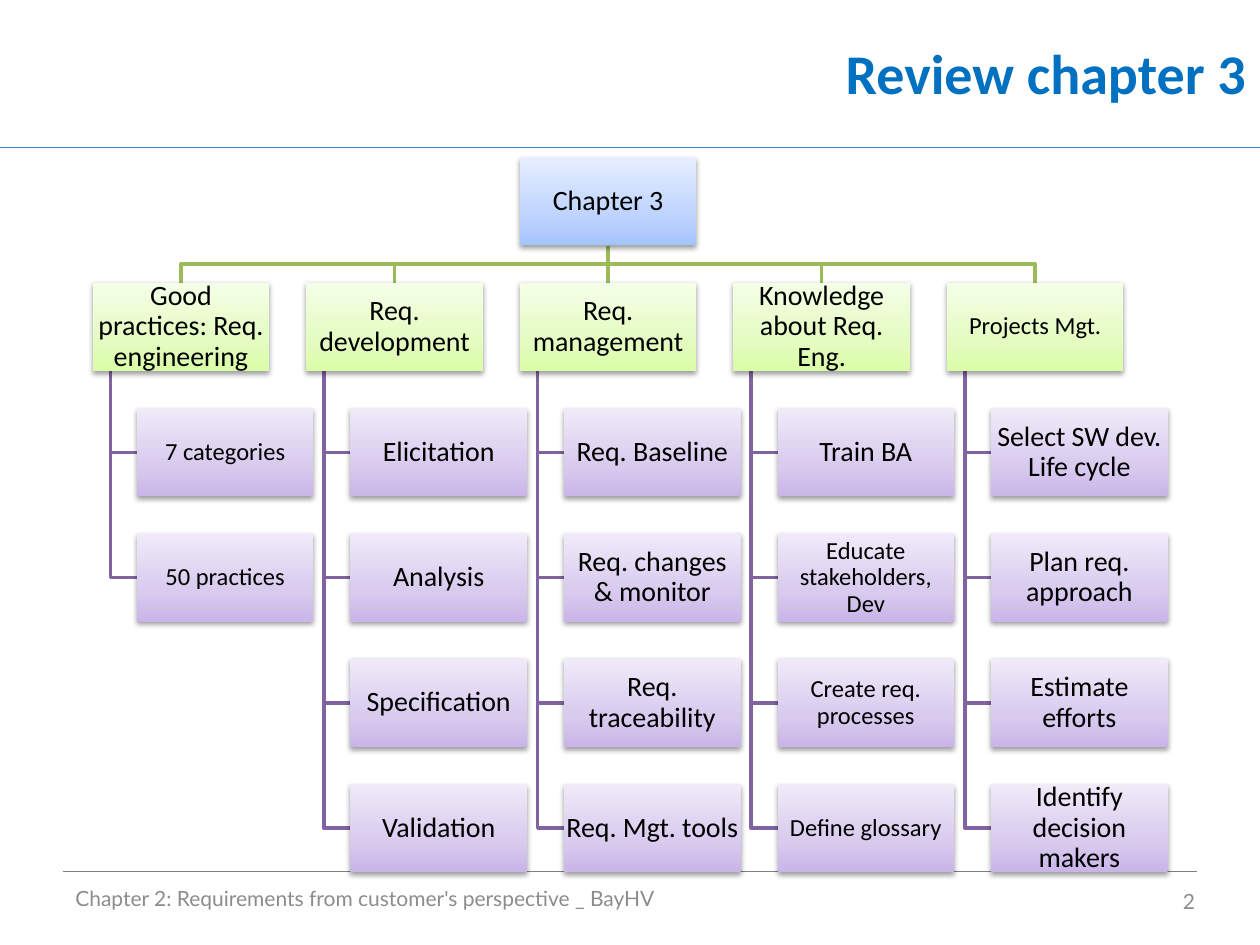
from lxml import etree
from pptx import Presentation
from pptx.dml.color import RGBColor
from pptx.enum import shapes, text
from pptx.oxml import ns, parse_xml
from pptx.util import Cm, Pt

TITLE = "Review chapter 3"
FOOTER = "Chapter 2: Requirements from customer's perspective _ BayHV"
PAGE = "2"
ROOT = "Chapter 3"
BRANCHES = [
    (("Good practices: Req. engineering", 16),
     [("7 categories", 14), ("50 practices", 14)]),
    (("Req. development", 16),
     [("Elicitation", 16), ("Analysis", 16), ("Specification", 16), ("Validation", 16)]),
    (("Req. management", 16),
     [("Req. Baseline", 16), ("Req. changes & monitor", 16),
      ("Req. traceability", 16), ("Req. Mgt. tools", 16)]),
    (("Knowledge about Req. Eng.", 16),
     [("Train BA", 16), ("Educate stakeholders, Dev", 14),
      ("Create req. processes", 14), ("Define glossary", 14)]),
    (("Projects Mgt.", 14),
     [("Select SW dev. Life cycle", 16), ("Plan req. approach", 16),
      ("Estimate efforts", 16), ("Identify decision makers", 16)]),
]

BLUE = ("A4C4FF", "BFD4FF", "E6EEFF")
GREEN = ("DAFDA7", "E4FCC2", "F5FFE7")
PURPLE = ("C9B5E8", "D8CBEE", "F0EAF9")
GREEN_LINE, PURPLE_LINE = "9BBB59", "8064A2"

BOX_W, BOX_H = 3.56, 1.78
LEFT, COLUMN_STEP = 1.87, 4.305
ROOT_TOP, BRANCH_TOP = 3.17, 5.7
LEAF_TOP, LEAF_STEP = 8.23, 2.525
LEAF_INDENT, TRUNK_INDENT = 0.89, 0.36

prs = Presentation()
prs.slide_width, prs.slide_height = Cm(25.4), Cm(19.05)
slide = prs.slides.add_slide(prs.slide_layouts[6])


def color(value):
    return RGBColor.from_string(value)


def write(frame, content, size=16, font="Calibri", fill="000000", bold=False,
          align=text.PP_ALIGN.CENTER, spacing=None, inset=None):
    frame.word_wrap = True
    frame.vertical_anchor = text.MSO_ANCHOR.MIDDLE
    if inset is not None:
        frame.margin_left = frame.margin_right = Cm(inset)
        frame.margin_top = frame.margin_bottom = Cm(inset)
    paragraph = frame.paragraphs[0]
    paragraph.alignment = align
    if spacing:
        paragraph.line_spacing = spacing
    run = paragraph.add_run()
    run.text = content
    run.font.size, run.font.name, run.font.bold = Pt(size), font, bold
    run.font.color.rgb = color(fill)


def label(content, left, top, width, height, **style):
    area = slide.shapes.add_textbox(Cm(left), Cm(top), Cm(width), Cm(height))
    write(area.text_frame, content, **style)


def rule(start, end, stroke, width):
    line = slide.shapes.add_connector(
        shapes.MSO_CONNECTOR.STRAIGHT, *[Cm(value) for value in start + end])
    line.line.color.rgb = color(stroke)
    line.line.width = Pt(width)
    etree.SubElement(line._element.spPr, ns.qn("a:effectLst"))


def elbow(points, stroke):
    corners = [(Cm(x), Cm(y)) for x, y in points]
    builder = slide.shapes.build_freeform(*corners[0])
    builder.add_line_segments(corners[1:], close=False)
    branch_line = builder.convert_to_shape()
    branch_line.fill.background()
    branch_line.shadow.inherit = False
    branch_line.line.color.rgb = color(stroke)
    branch_line.line.width = Pt(2)


def box(content, left, top, shades, size=16):
    node = slide.shapes.add_shape(
        shapes.MSO_SHAPE.RECTANGLE, Cm(left), Cm(top), Cm(BOX_W), Cm(BOX_H))
    node.line.fill.background()
    node.shadow.inherit = False
    stops = "".join(
        f'<a:gs pos="{pos}"><a:srgbClr val="{shade}"/></a:gs>'
        for pos, shade in zip((0, 35000, 100000), shades))
    node._element.spPr.find(ns.qn("a:prstGeom")).addnext(parse_xml(
        f'<a:gradFill {ns.nsdecls("a")} rotWithShape="1"><a:gsLst>{stops}</a:gsLst>'
        '<a:lin ang="16200000" scaled="0"/></a:gradFill>'))
    node._element.spPr.find(ns.qn("a:effectLst")).append(parse_xml(
        f'<a:outerShdw {ns.nsdecls("a")} blurRad="40000" dist="20000" dir="5400000" '
        'rotWithShape="0"><a:srgbClr val="000000"><a:alpha val="38000"/></a:srgbClr>'
        '</a:outerShdw>'))
    write(node.text_frame, content, size=size, spacing=0.9, inset=0.03)


rule((0, 2.97), (25.4, 2.97), "4B7EBC", 0.75)
rule((1.27, 17.57), (24.13, 17.57), "808080", 0.75)
label(TITLE, 7.37, 0, 18, 2.92, size=32, fill="0070C0", bold=True,
      align=text.PP_ALIGN.RIGHT)
label(FOOTER, 1.27, 17.6, 16.94, 1.02, size=12, font="Lato", fill="8C8C8C",
      align=text.PP_ALIGN.LEFT)
label(PAGE, 18.42, 17.65, 5.92, 1.02, size=12, font="Lato", fill="8C8C8C",
      align=text.PP_ALIGN.RIGHT)

columns = [LEFT + i * COLUMN_STEP for i in range(len(BRANCHES))]
root_left = columns[len(columns) // 2]
root_center, root_bottom = root_left + BOX_W / 2, ROOT_TOP + BOX_H
bus = (root_bottom + BRANCH_TOP) / 2

for column, (_, leaves) in zip(columns, BRANCHES):
    center, trunk = column + BOX_W / 2, column + TRUNK_INDENT
    if column == root_left:
        rule((center, root_bottom), (center, BRANCH_TOP), GREEN_LINE, 2)
    else:
        elbow([(root_center, root_bottom), (root_center, bus),
               (center, bus), (center, BRANCH_TOP)], GREEN_LINE)
    for row in range(len(leaves)):
        middle = LEAF_TOP + row * LEAF_STEP + BOX_H / 2
        elbow([(trunk, BRANCH_TOP + BOX_H), (trunk, middle),
               (column + LEAF_INDENT, middle)], PURPLE_LINE)

box(ROOT, root_left, ROOT_TOP, BLUE)
for column, ((branch, branch_size), leaves) in zip(columns, BRANCHES):
    box(branch, column, BRANCH_TOP, GREEN, branch_size)
    for row, (leaf, leaf_size) in enumerate(leaves):
        box(leaf, column + LEAF_INDENT, LEAF_TOP + row * LEAF_STEP, PURPLE, leaf_size)

prs.save("out.pptx")
